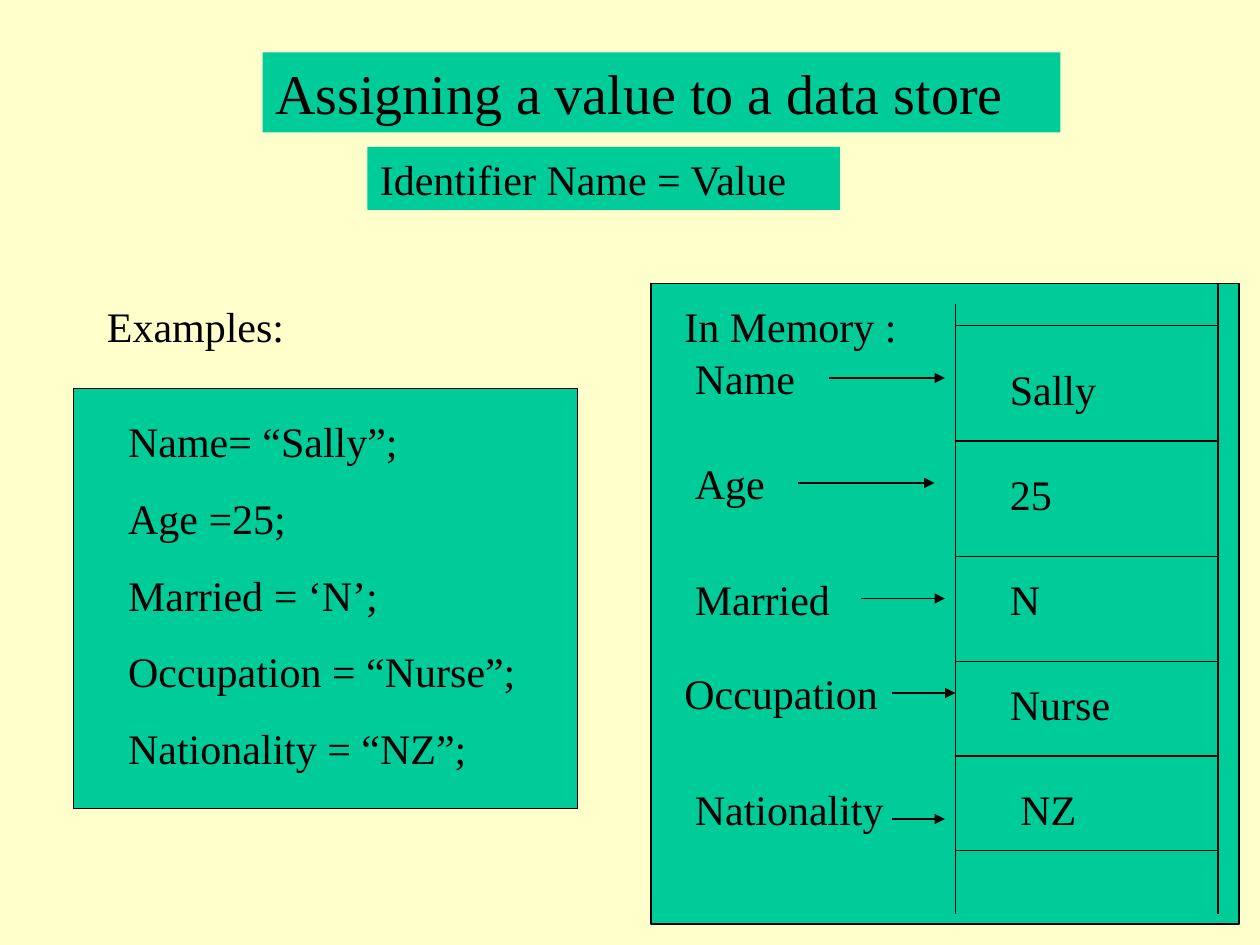
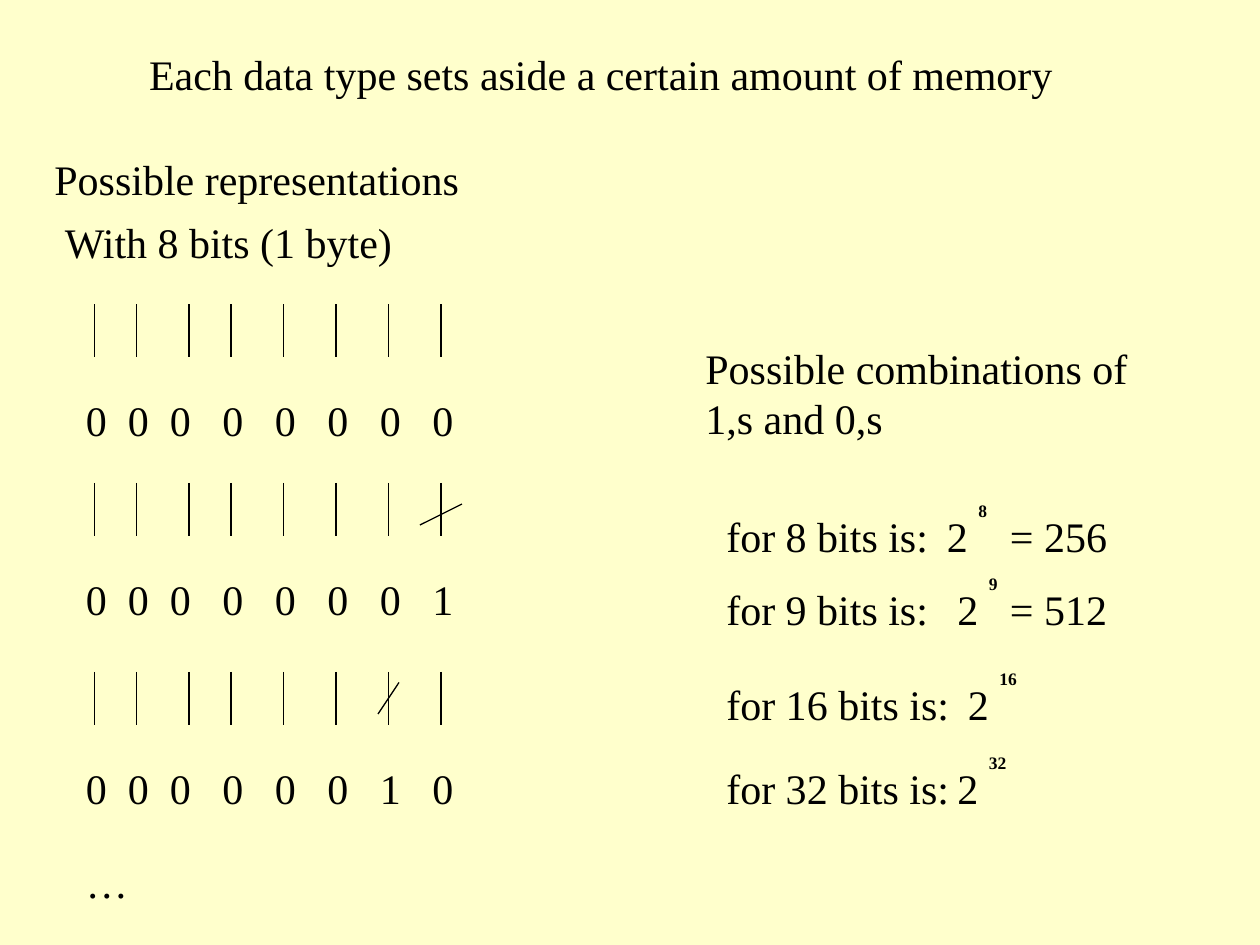
from lxml import etree
from pptx import Presentation
from pptx import util as u
from pptx.dml.color import RGBColor
from pptx.enum import shapes, text
from pptx.oxml.ns import qn

PX = 9525
COLORS = {"page": "FFFFCC", "panel": "00CC99", "ink": "000000"}
RGB = {k: RGBColor.from_string(v) for k, v in COLORS.items()}
FONT = "Times New Roman"


def write(sp, box, lines, size=24, before=15, bold=False, fill=None):
    for name, value in zip(("left", "top", "width", "height"), box):
        setattr(sp, name, value * PX)
    if fill:
        sp.fill.solid()
        sp.fill.fore_color.rgb = RGB[fill]
    tf = sp.text_frame
    fit = text.MSO_AUTO_SIZE
    frame = {"word_wrap": True, "vertical_anchor": text.MSO_ANCHOR.TOP,
             "auto_size": fit.NONE if sp.is_placeholder else fit.SHAPE_TO_FIT_TEXT}
    for name, value in frame.items():
        setattr(tf, name, value)
    for i, line in enumerate(lines):
        p = tf.add_paragraph() if i else tf.paragraphs[0]
        p.alignment = text.PP_ALIGN.LEFT
        p.space_before = u.Pt(before)
        pPr = p._p.get_or_add_pPr()
        pPr.set("marL", "0")
        pPr.set("indent", "0")
        etree.SubElement(pPr, qn("a:buNone"))
        for part, spacing in [(line, 0)] if isinstance(line, str) else line:
            r = p.add_run()
            r.text = part
            for name, value in {"name": FONT, "size": u.Pt(size), "bold": bold}.items():
                setattr(r.font, name, value)
            r.font.color.rgb = RGB["ink"]
            if spacing:
                r._r.get_or_add_rPr().set("spc", str(spacing * 100))


def draw_line(s, x1, y1, x2, y2, arrow=False):
    c = s.shapes.add_connector(shapes.MSO_CONNECTOR.STRAIGHT,
                               x1 * PX, y1 * PX, x2 * PX, y2 * PX)
    c.line.color.rgb = RGB["ink"]
    c.line.width = u.Pt(0.75)
    if arrow:
        etree.SubElement(c.line._get_or_add_ln(), qn("a:tailEnd"), type="triangle")
    etree.SubElement(c._element.spPr, qn("a:effectLst"))


prs = Presentation()
prs.slide_width, prs.slide_height = 960 * PX, 720 * PX
bg = prs.slide_master.background.fill
bg.solid()
bg.fore_color.rgb = RGB["page"]

s = prs.slides.add_slide(prs.slide_layouts[1])
write(s.shapes.title, (200, 40, 608, 61), ["Assigning a value to a data store"],
      size=32, before=20, fill="panel")
for box in [(56, 296, 384, 320), (496, 216, 448, 488)]:
    sp = s.shapes.add_shape(shapes.MSO_SHAPE.RECTANGLE, *(v * PX for v in box))
    sp.shadow.inherit = False
    sp.fill.solid()
    sp.fill.fore_color.rgb = RGB["panel"]
    sp.line.color.rgb = RGB["ink"]
    sp.line.width = u.Pt(0.75)

body = s.placeholders[1]
write(body, (88, 312, 360, 282),
      ["Name= “Sally”;", "Age =25;", "Married = ‘N’;",
       "Occupation = “Nurse”;", "Nationality = “NZ”;"])
body.element.getparent().append(body.element)

write(s.shapes.add_textbox(0, 0, 0, 0), (280, 112, 360, 48),
      ["Identifier Name = Value"], fill="panel")
for x, w, label in [(72, 160, "Examples:"), (512, 200, "In Memory :")]:
    write(s.shapes.add_textbox(0, 0, 0, 0), (x, 224, w, 48), [label])

cell_left, cell_right = 728, 928
draw_line(s, cell_left, 232, cell_left, 696)
draw_line(s, cell_right, 216, cell_right, 696)
for y in (248, 336, 424, 504, 576, 648):
    draw_line(s, cell_left, y, cell_right, y)

memory = [
    ("Name", 520, 264, "Sally", 760, 272, 632, 720, 288),
    ("Age", 520, 344, "25", 760, 352, 608, 712, 368),
    ("Married", 520, 432, "N", 760, 432, 656, 720, 456),
    ("Occupation", 512, 504, "Nurse", 760, 512, 680, 728, 528),
    ("Nationality", 520, 592, "NZ", 768, 592, 680, 720, 624),
]
for name, nx, ny, value, vx, vy, start, end, y in memory:
    write(s.shapes.add_textbox(0, 0, 0, 0), (nx, ny, 200, 48), [name])
    write(s.shapes.add_textbox(0, 0, 0, 0), (vx, vy, 136, 48), [value])
    draw_line(s, start, y, end, y, arrow=True)

s = prs.slides.add_slide(prs.slide_layouts[5])
write(s.shapes.title, (104, 32, 792, 48),
      ["Each data type sets aside a certain amount of memory"])
labels = [
    ((32, 112, 328, 48), "Possible representations"),
    ((40, 160, 360, 48), "With 8 bits (1 byte)"),
    ((528, 256, 376, 86), "Possible combinations of 1,s and 0,s"),
    ((56, 648, 232, 48), "…"),
]
for box, label in labels:
    write(s.shapes.add_textbox(0, 0, 0, 0), box, [label])

bit_xs = (72, 104, 144, 176, 216, 256, 296, 336)
gaps = (6, 6, 12, 12, 12, 12, 12)
for y, bits in [(232, "00000000"), (368, "00000001"), (512, "00000010")]:
    for x in bit_xs:
        draw_line(s, x, y, x, y + 40)
    digits = [(bits[0], 0)]
    for gap, bit in zip(gaps, bits[1:]):
        digits += [(" ", gap), (bit, 0)]
    write(s.shapes.add_textbox(0, 0, 0, 0), (56, y + 64, 368, 48), [digits])
draw_line(s, 352, 384, 320, 400)
draw_line(s, 288, 544, 304, 520)

powers = [(8, 384, 712, "= 256"), (9, 440, 720, "= 512"),
          (16, 512, 728, None), (32, 576, 720, None)]
for n, y, x, result in powers:
    write(s.shapes.add_textbox(0, 0, 0, 0), (544, y, 192, 48), [f"for {n} bits is:"])
    write(s.shapes.add_textbox(0, 0, 0, 0), (x, y, 72, 48), ["2"])
    write(s.shapes.add_textbox(0, 0, 0, 0), (x + 24, y - 8, 40, 26), [str(n)],
          size=10, before=6.2, bold=True)
    if result:
        write(s.shapes.add_textbox(0, 0, 0, 0), (760, y, 112, 48), [result])

prs.save("out.pptx")
